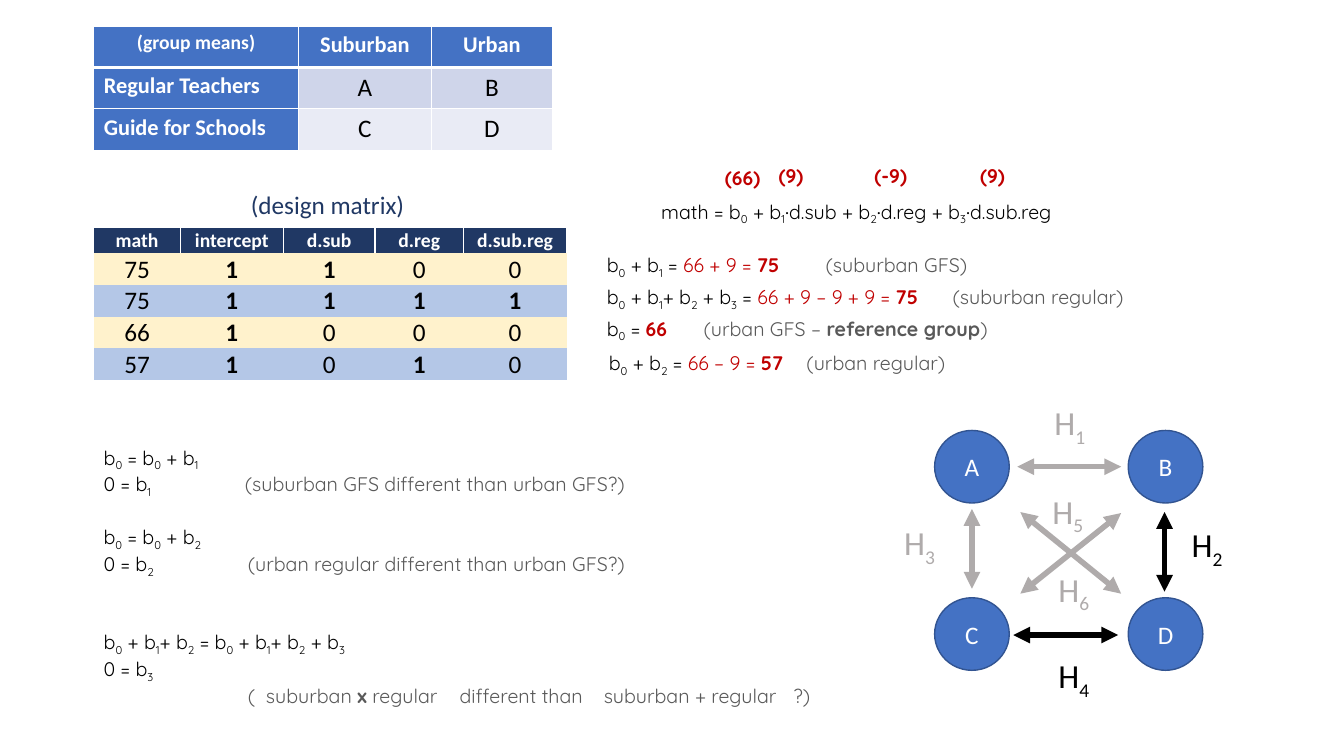
from lxml.etree import SubElement
from pptx import Presentation
from pptx.dml.color import RGBColor
from pptx.enum.shapes import MSO_CONNECTOR, MSO_SHAPE
from pptx.enum.text import MSO_ANCHOR, PP_ALIGN
from pptx.oxml.ns import qn
from pptx.util import Inches, Pt

NAVY = RGBColor(0x20, 0x38, 0x64)
BLUE = RGBColor(0x44, 0x72, 0xC4)
BLUE_EDGE = RGBColor(0x32, 0x54, 0x91)
BLUE_BAND = RGBColor(0xB4, 0xC7, 0xE7)
CREAM_BAND = RGBColor(0xFF, 0xF2, 0xCC)
LAVENDER = RGBColor(0xCF, 0xD5, 0xEA)
PALE_LAVENDER = RGBColor(0xE9, 0xEB, 0xF5)
WHITE = RGBColor(0xFF, 0xFF, 0xFF)
BLACK = RGBColor(0x00, 0x00, 0x00)
RED = RGBColor(0xC0, 0x00, 0x00)
DARK_GREY = RGBColor(0x59, 0x59, 0x59)
LIGHT_GREY = RGBColor(0xAF, 0xAB, 0xAB)
NO_STYLE = "{2D5ABB26-0587-4C30-8999-92F81FD0307C}"


def look(color, size=14, bold=False, name="Quicksand"):
    """Return the font values of one kind of text."""
    return {"name": name, "size": Pt(size), "bold": bold, "color": color}


TERM, SUM, RESULT = look(BLACK), look(RED), look(RED, bold=True)
NOTE, STRONG_NOTE = look(DARK_GREY), look(DARK_GREY, bold=True)

# left, top, width, tab stops, paragraphs made of (text, look) runs
FORMULAS = [
    (6.46, 1.93, 4.55, [], [
        [("math = b_0 + b_1∙d.sub + b_2∙d.reg + b_3∙d.sub.reg", TERM)]]),
    (5.92, 2.46, 3.96, [2.17], [
        [("b_0 + b_1 = ", TERM), ("66 + 9 = ", SUM), ("75", RESULT),
         ("\t(suburban GFS)", NOTE)]]),
    (5.92, 2.78, 5.67, [3.43], [
        [("b_0 + b_1+ b_2 + b_3 = ", TERM), ("66 + 9 – 9 + 9 = ", SUM),
         ("75", RESULT), ("\t(suburban regular)", NOTE)]]),
    (5.92, 3.09, 4.08, [0.96], [
        [("b_0 = ", TERM), ("66", RESULT), ("\t(urban GFS – ", NOTE),
         ("reference group", STRONG_NOTE), (")", NOTE)]]),
    (5.94, 3.43, 3.72, [1.96], [
        [("b_0 + b_2 = ", TERM), ("66 – 9 =", SUM), (" 57", RESULT),
         ("\t(urban regular)", NOTE)]]),
    (0.93, 4.37, 5.58, [1.4], [
        [("b_0 = b_0 + b_1", TERM)],
        [("0 = b_1", TERM),
         ("\t(suburban GFS different than urban GFS?)", NOTE)]]),
    (0.93, 5.16, 5.6, [1.43], [
        [("b_0 = b_0 + b_2", TERM)],
        [("0 = b_2", TERM),
         ("\t(urban regular different than urban GFS?)", NOTE)]]),
    (0.93, 6.2, 7.51, [1.43, 1.61, 3.53, 4.96, 6.84], [
        [("b_0 + b_1+ b_2 = b_0 + b_1+ b_2 + b_3", TERM)],
        [("0 = b_3", TERM)],
        [("\t(\tsuburban ", NOTE), ("x", STRONG_NOTE),
         (" regular\tdifferent than\tsuburban + regular\t?)", NOTE)]]),
]
COEFFICIENTS = [("(66)", 6.94, 1.6), ("(9)", 7.42, 1.58),
                ("(-9)", 8.41, 1.58), ("(9)", 9.42, 1.58)]
GROUP_MEANS = [("(group means)", "Suburban", "Urban"),
               ("Regular Teachers", "A", "B"),
               ("Guide for Schools", "C", "D")]
DESIGN_MATRIX = [("math", "intercept", "d.sub", "d.reg", "d.sub.reg"),
                 ("75", "1", "1", "0", "0"), ("75", "1", "1", "1", "1"),
                 ("66", "1", "0", "0", "0"), ("57", "1", "0", "1", "0")]
CELL_MEANS = [("A", 9.27, 4.27), ("B", 11.19, 4.27),
              ("C", 9.27, 5.93), ("D", 11.19, 5.93)]
CONTRASTS = [((10.09, 4.63), (11.12, 4.63), LIGHT_GREY),
             ((10.12, 5.08), (11.12, 5.89), LIGHT_GREY),
             ((9.64, 5.05), (9.64, 5.84), LIGHT_GREY),
             ((10.05, 6.3), (11.09, 6.3), BLACK),
             ((11.55, 5.08), (11.55, 5.87), BLACK),
             ((11.12, 5.09), (10.12, 5.89), LIGHT_GREY)]
HYPOTHESES = [("H_1", 10.36, 3.94, LIGHT_GREY), ("H_2", 11.72, 5.15, BLACK),
              ("H_3", 8.87, 5.13, LIGHT_GREY), ("H_4", 10.4, 6.45, BLACK),
              ("H_5", 10.34, 4.82, LIGHT_GREY), ("H_6", 10.4, 5.59, LIGHT_GREY)]


def apply_format(target, values):
    """Set each format value on the target; a color goes to its rgb."""
    for key, value in values.items():
        if key == "color":
            target.color.rgb = value
        else:
            setattr(target, key, value)


def add_run(paragraph, text, font_values, subscript=False):
    """Add one formatted run if there is text for it."""
    if not text:
        return
    run = paragraph.add_run()
    run.text = text
    apply_format(run.font, font_values)
    if subscript:
        run._r.get_or_add_rPr().set("baseline", "-25000")


def write(paragraph, text, font_values, align=PP_ALIGN.LEFT):
    """Write text in which an underscore lowers the next character."""
    paragraph.alignment = align
    start, *indexed = text.split("_")
    add_run(paragraph, start, font_values)
    for part in indexed:
        add_run(paragraph, part[0], font_values, subscript=True)
        add_run(paragraph, part[1:], font_values)


def set_tabs(paragraph, stops):
    """Give the paragraph left tab stops, in inches."""
    tabs = SubElement(paragraph._p.get_or_add_pPr(), qn("a:tabLst"))
    for stop in stops:
        SubElement(tabs, qn("a:tab"), pos=str(Inches(stop)), algn="l")


def add_label(shapes, text, box, font_values, align=PP_ALIGN.LEFT, wrap=False):
    """Add a one-line text box."""
    frame = shapes.add_textbox(*map(Inches, box)).text_frame
    frame.word_wrap = wrap
    write(frame.paragraphs[0], text, font_values, align)


def add_formula(shapes, left, top, width, stops, lines):
    """Add a block of formula lines with remarks at the tab stops."""
    height = 0.1 + 0.24 * len(lines)
    frame = shapes.add_textbox(*map(Inches, (left, top, width, height))).text_frame
    frame.word_wrap = True
    for index, line in enumerate(lines):
        paragraph = frame.add_paragraph() if index else frame.paragraphs[0]
        for text, font_values in line:
            write(paragraph, text, font_values)
        if stops:
            set_tabs(paragraph, stops)


def add_borders(cell, widths):
    """Draw white cell borders from a dict of side to points."""
    for side, points in widths.items():
        edge = SubElement(cell._tc.get_or_add_tcPr(), qn(f"a:ln{side}"),
                          w=str(Pt(points)))
        fill = SubElement(edge, qn("a:solidFill"))
        SubElement(fill, qn("a:srgbClr"), val=str(WHITE))


def add_grid(shapes, left, top, columns, heights, rows, cell_rule):
    """Add a table; cell_rule(row, column, text) gives each cell's looks."""
    table = shapes.add_table(len(rows), len(columns), Inches(left), Inches(top),
                             Inches(sum(columns)), Inches(sum(heights))).table
    for column, width in zip(table.columns, columns):
        column.width = Inches(width)
    for row, height in zip(table.rows, heights):
        row.height = Inches(height)
    for r, texts in enumerate(rows):
        for c, text in enumerate(texts):
            fill, font_values, align, borders, frame = cell_rule(r, c, text)
            cell = table.cell(r, c)
            add_borders(cell, borders)
            cell.fill.solid()
            cell.fill.fore_color.rgb = fill
            apply_format(cell, frame)
            write(cell.text_frame.paragraphs[0], text, font_values, align)
    return table


def group_means_cell(row, column, text):
    """Blue headings on two sides, lavender bands inside."""
    heading = row == 0 or column == 0
    fill = BLUE if heading else (LAVENDER if row == 1 else PALE_LAVENDER)
    size = 14 if row == column == 0 else 16
    font = look(WHITE, size, True, "Calibri") if heading else look(BLACK, 18, name="Calibri")
    align = PP_ALIGN.LEFT if row and column == 0 else PP_ALIGN.CENTER
    borders = {"L": 1, "R": 1, "B": 1} if row else {"L": 1, "R": 1, "T": 1, "B": 3}
    return fill, font, align, borders, {}


def design_matrix_cell(row, column, text):
    """Navy heading, alternating bands, and bold ones."""
    frame = {"vertical_anchor": MSO_ANCHOR.BOTTOM, "margin_left": Inches(0.01),
             "margin_right": Inches(0.01), "margin_top": Inches(0.01), "margin_bottom": 0}
    if row == 0:
        return (NAVY, look(WHITE, 14, True, "Calibri"), PP_ALIGN.CENTER,
                {"L": 1, "R": 1, "T": 1}, frame)
    fill = CREAM_BAND if row % 2 else BLUE_BAND
    return fill, look(BLACK, 18, text == "1", "Calibri"), PP_ALIGN.CENTER, {}, frame


def add_cell_mean(shapes, letter, left, top):
    """Add a lettered circle."""
    circle = shapes.add_shape(MSO_SHAPE.OVAL, *map(Inches, (left, top, 0.74, 0.72)))
    circle.shadow.inherit = False
    circle.fill.solid()
    circle.fill.fore_color.rgb = BLUE
    apply_format(circle.line, {"color": BLUE_EDGE, "width": Pt(1)})
    circle.text_frame.vertical_anchor = MSO_ANCHOR.MIDDLE
    write(circle.text_frame.paragraphs[0], letter,
          look(WHITE, 18, name="Calibri"), PP_ALIGN.CENTER)


def add_contrast(shapes, start, end, color):
    """Add a double-headed arrow."""
    arrow = shapes.add_connector(MSO_CONNECTOR.STRAIGHT, *map(Inches, start + end))
    apply_format(arrow.line, {"color": color, "width": Pt(4)})
    for tip in ("a:headEnd", "a:tailEnd"):
        SubElement(arrow.line._get_or_add_ln(), qn(tip), type="triangle")
    SubElement(arrow._element.spPr, qn("a:effectLst"))


def main():
    """Build the slide and save it."""
    deck = Presentation()
    deck.slide_width, deck.slide_height = Inches(13.33), Inches(7.5)
    shapes = deck.slides.add_slide(deck.slide_layouts[6]).shapes

    matrix = add_grid(shapes, 0.93, 2.26, [0.86, 1.02, 0.91, 0.88, 1.02],
                      [0.25] + [0.31] * 4, DESIGN_MATRIX, design_matrix_cell)
    matrix._tbl.tblPr.find(qn("a:tableStyleId")).text = NO_STYLE
    add_label(shapes, "(design matrix)", (2.39, 1.83, 1.74, 0.4),
              look(NAVY, 18, name="Calibri"))
    add_grid(shapes, 0.93, 0.26, [2.03, 1.32, 1.2], [0.41] * 3,
             GROUP_MEANS, group_means_cell)

    for formula in FORMULAS:
        add_formula(shapes, *formula)
    for value, left, top in COEFFICIENTS:
        add_label(shapes, value, (left, top, 0.85, 0.34), RESULT,
                  PP_ALIGN.CENTER, wrap=True)

    diagram = shapes.add_group_shape().shapes
    for cell_mean in CELL_MEANS:
        add_cell_mean(diagram, *cell_mean)
    for contrast in CONTRASTS:
        add_contrast(diagram, *contrast)
    for name, left, top, color in HYPOTHESES:
        add_label(diagram, name, (left, top, 0.53, 0.5), look(color, 24, name="Calibri"))
    deck.save("out.pptx")


main()
